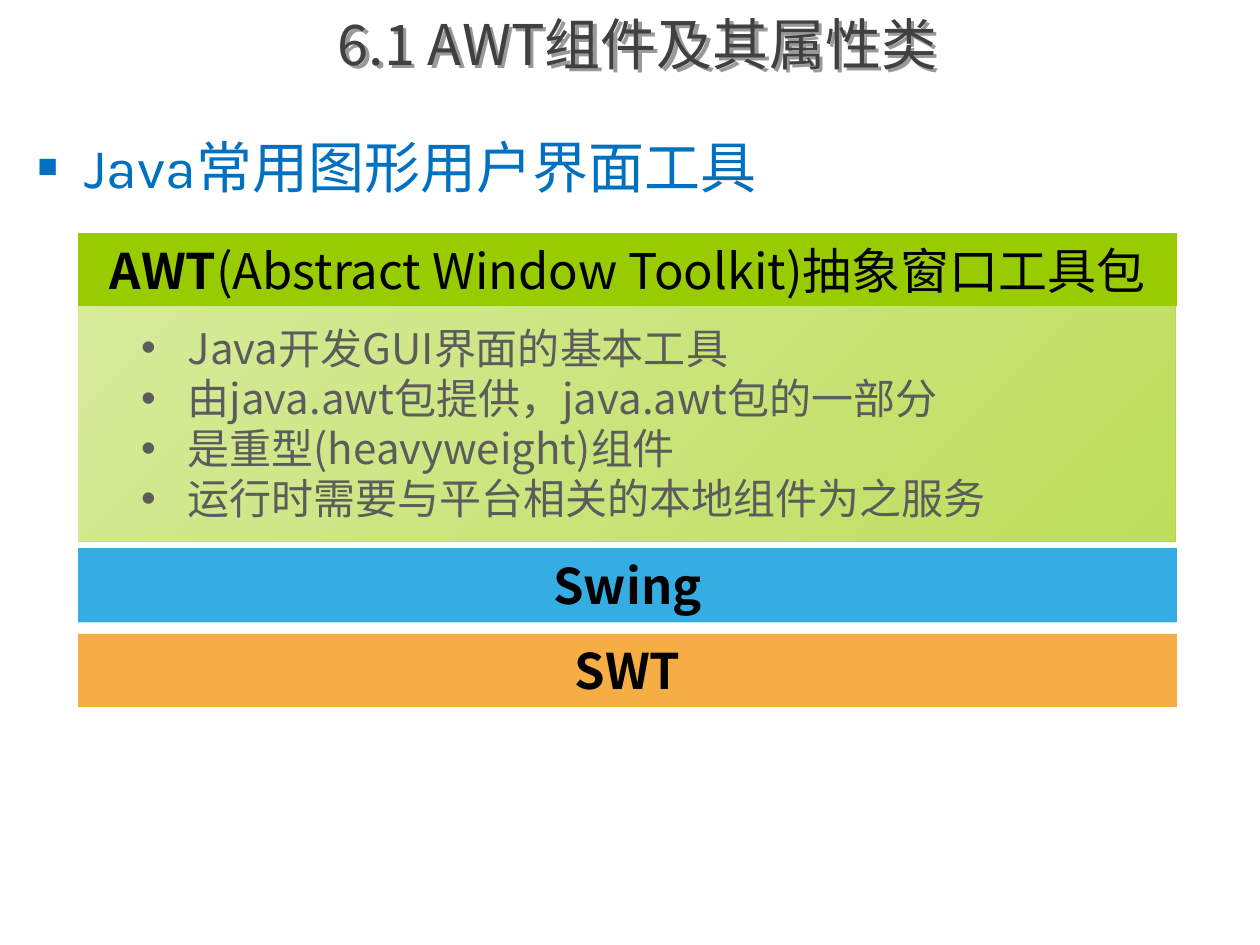
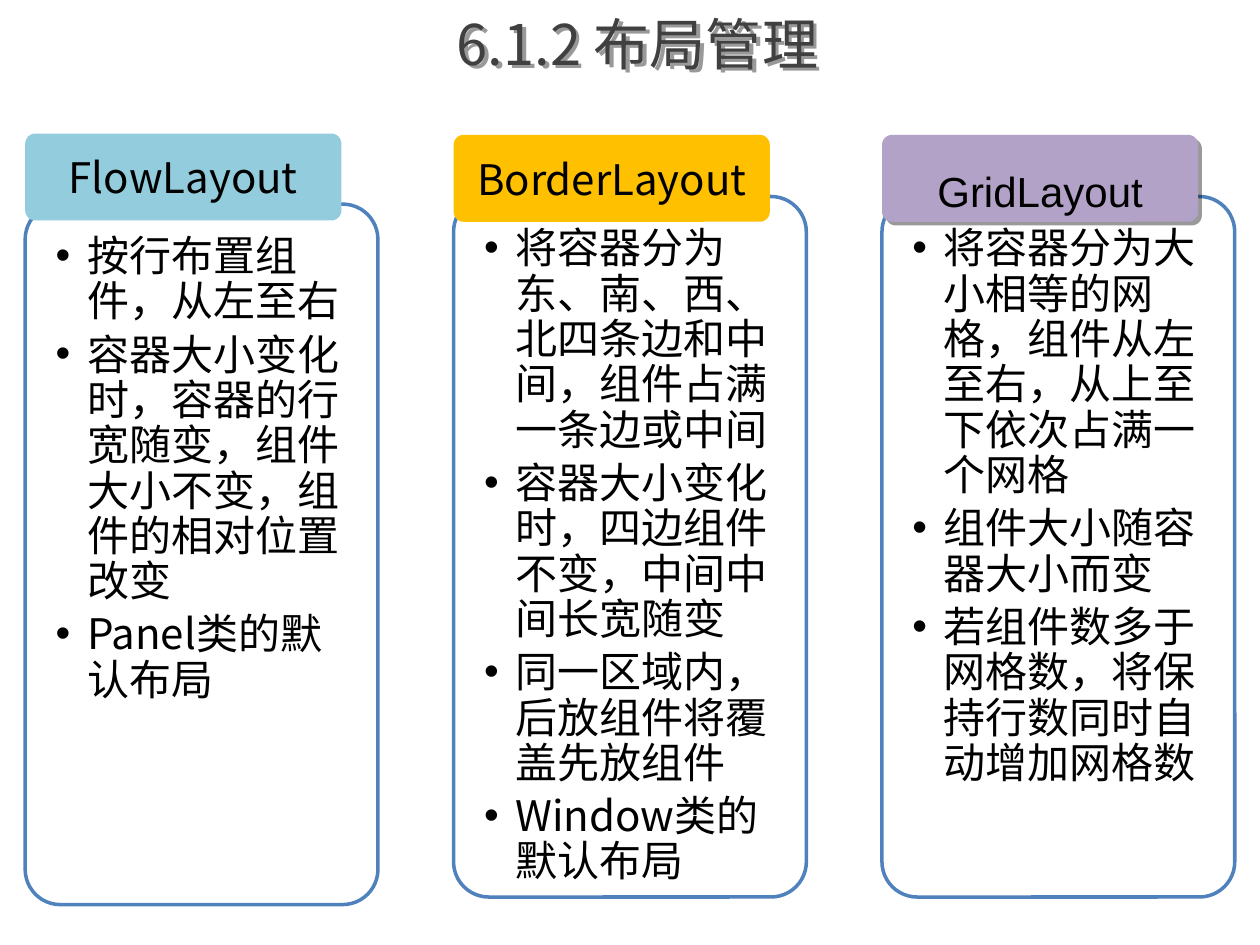
"""Build two slides on Java interface toolkits and layout managers."""
from dataclasses import dataclass
from typing import Optional

from lxml.etree import SubElement
from pptx import Presentation
from pptx.dml.color import RGBColor
from pptx.enum.shapes import MSO_SHAPE
from pptx.enum.text import MSO_ANCHOR, PP_ALIGN
from pptx.oxml.ns import qn
from pptx.util import Inches, Pt

COLORS = {
    "white": "FFFFFF", "black": "000000", "title": "404040", "heading": "0070C0",
    "green": "99CC00", "pale_green": "C1E063", "blue": "35ADE3", "orange": "F6AE44",
    "frame": "4F81BD", "aqua": "93CDDD", "gold": "FFC000", "violet": "B3A2C7",
}
SANS = "Noto Sans CJK SC"


@dataclass(frozen=True)
class Span:
    text: str
    size: float = 24
    color: str = "black"
    font: str = SANS
    bold: bool = False


@dataclass(frozen=True)
class Bullet:
    margin: float
    hanging: float
    symbol: str = "•"
    color: str = "black"
    percent: int = 100


@dataclass(frozen=True)
class Band:
    top: float
    height: float
    color: str
    spans: tuple[Span, ...]


@dataclass(frozen=True)
class LayoutCard:
    header: Span
    color: str
    header_top: float
    panel_top: float
    points: tuple[str, ...]
    line_spacing: float = 1.0
    shadow: bool = False


BANDS = (
    Band(1.85, 0.58, "green", (
        Span("AWT", 28, bold=True),
        Span("(Abstract Window Toolkit)抽象窗口工具包", 28),
    )),
    Band(4.35, 0.59, "blue", (Span("Swing", 28, bold=True),)),
    Band(5.03, 0.58, "orange", (Span("SWT", 28, bold=True),)),
)
AWT_POINTS = (
    "Java开发GUI界面的基本工具",
    "由java.awt包提供，java.awt包的一部分",
    "是重型(heavyweight)组件",
    "运行时需要与平台相关的本地组件为之服务",
)
CARDS = (
    LayoutCard(Span("FlowLayout"), "aqua", 1.06, 1.62, (
        "按行布置组件，从左至右",
        "容器大小变化时，容器的行宽随变，组件大小不变，组件的相对位置改变",
        "Panel类的默认布局",
    )),
    LayoutCard(Span("BorderLayout"), "gold", 1.07, 1.56, (
        "将容器分为东、南、西、北四条边和中间，组件占满一条边或中间",
        "容器大小变化时，四边组件不变，中间中间长宽随变",
        "同一区域内，后放组件将覆盖先放组件",
        "Window类的默认布局",
    )),
    LayoutCard(Span("GridLayout", font="Arial"), "violet", 1.07, 1.56, (
        "将容器分为大小相等的网格，组件从左至右，从上至下依次占满一个网格",
        "组件大小随容器大小而变",
        "若组件数多于网格数，将保持行数同时自动增加网格数",
    ), 1.5, True),
)


def rgb(name: str) -> RGBColor:
    return RGBColor.from_string(COLORS[name])


def add_box(page, left: float, top: float, width: float, height: float,
            color: Optional[str] = None, opacity: int = 100,
            line: Optional[str] = None, radius: float = 0):
    kind = MSO_SHAPE.ROUNDED_RECTANGLE if radius else MSO_SHAPE.RECTANGLE
    box = page.shapes.add_shape(
        kind, Inches(left), Inches(top), Inches(width), Inches(height))
    box.shadow.inherit = False
    if radius:
        box.adjustments[0] = radius / min(width, height)
    if color:
        box.fill.solid()
        box.fill.fore_color.rgb = rgb(color)
        if opacity < 100:
            tint = box.fill._xPr.find(".//" + qn("a:srgbClr"))
            SubElement(tint, qn("a:alpha"), val=str(opacity * 1000))
    else:
        box.fill.background()
    if line:
        box.line.color.rgb = rgb(line)
        box.line.width = Pt(2)
    else:
        box.line.fill.background()
    return box


def add_shadow(box) -> None:
    effects = box._element.spPr.find(qn("a:effectLst"))
    shadow = SubElement(effects, qn("a:outerShdw"), dist=str(Pt(3)),
                        dir="2700000", algn="tl", rotWithShape="0")
    tint = SubElement(shadow, qn("a:srgbClr"), val=COLORS["black"])
    SubElement(tint, qn("a:alpha"), val="40000")


def set_bullet(para, bullet: Bullet) -> None:
    properties = para._p.get_or_add_pPr()
    properties.set("marL", str(Inches(bullet.margin)))
    properties.set("indent", str(-Inches(bullet.hanging)))
    properties.set("hangingPunct", "0")
    tint = SubElement(properties, qn("a:buClr"))
    SubElement(tint, qn("a:srgbClr"), val=COLORS[bullet.color])
    SubElement(properties, qn("a:buSzPct"), val=str(bullet.percent * 1000))
    SubElement(properties, qn("a:buFont"), typeface="Arial")
    SubElement(properties, qn("a:buChar"), char=bullet.symbol)


def write(box, paragraphs: list[tuple[Span, ...]], bullet: Optional[Bullet] = None,
          anchor=MSO_ANCHOR.MIDDLE, insets: tuple[float, float] = (0.1, 0.05),
          spacing=None, after: float = 0) -> None:
    frame = box.text_frame
    frame.word_wrap = True
    frame.vertical_anchor = anchor
    frame.margin_left = frame.margin_right = Inches(insets[0])
    frame.margin_top = frame.margin_bottom = Inches(insets[1])
    for index, spans in enumerate(paragraphs):
        para = frame.add_paragraph() if index else frame.paragraphs[0]
        para.alignment = PP_ALIGN.LEFT if bullet else PP_ALIGN.CENTER
        if spacing:
            para.line_spacing = spacing
        para.space_after = Pt(after)
        if bullet:
            set_bullet(para, bullet)
        for span in spans:
            run = para.add_run()
            run.text = span.text
            run.font.size = Pt(span.size)
            run.font.bold = span.bold
            run.font.color.rgb = rgb(span.color)
            run.font.name = span.font
            SubElement(run._r.get_or_add_rPr(), qn("a:ea"), typeface=SANS)


def add_title(page, text: str) -> None:
    box = add_box(page, 0.72, 0, 8.68, 0.68)
    add_shadow(box)
    write(box, [(Span(text, 32, "title"),)])


def build_toolkits(deck) -> None:
    page = deck.slides.add_slide(deck.slide_layouts[6])
    heading = add_box(page, 0.2, 1, 9.61, 6.37, "white", 81)
    write(heading, [(Span("Java常用图形用户界面工具", 32, "heading", "Karla"),)],
          Bullet(0.37, 0.37, "■", "heading", 60), MSO_ANCHOR.TOP)
    details = add_box(page, 0.62, 2.41, 8.71, 1.89)
    details.fill.gradient()
    details.fill.gradient_angle = 315
    for stop, color in zip(details.fill.gradient_stops, ("pale_green", "green")):
        stop.color.rgb = rgb(color)
    write(details, [(Span(point),) for point in AWT_POINTS], Bullet(0.87, 0.37),
          insets=(0, 0.05), spacing=Pt(28.6))
    add_title(page, "6.1 AWT组件及其属性类")
    for band in BANDS:
        box = add_box(page, 0.62, band.top, 8.72, band.height, band.color)
        write(box, [band.spans])
    add_box(page, 0.62, 2.43, 8.71, 1.87, "white", 36)


def build_layouts(deck) -> None:
    page = deck.slides.add_slide(deck.slide_layouts[6])
    add_title(page, "6.1.2 布局管理")
    for index, card in enumerate(CARDS):
        left = 0.2 + 3.4 * index
        panel = add_box(page, left, card.panel_top, 2.8, 5.56,
                        "white", 90, "frame", 0.28)
        write(panel, [(Span(point),) for point in card.points], Bullet(0.25, 0.25),
              MSO_ANCHOR.TOP, (0.16, 0.16), Pt(25.9), 4.5)
        header = add_box(page, left, card.header_top, 2.51, 0.69,
                         card.color, radius=0.08)
        if card.shadow:
            add_shadow(header)
        write(header, [(card.header,)], insets=(0.05, 0.05),
              spacing=card.line_spacing)


def main() -> None:
    deck = Presentation()
    deck.slide_width = Inches(10)
    deck.slide_height = Inches(7.5)
    build_toolkits(deck)
    build_layouts(deck)
    deck.save("out.pptx")


if __name__ == "__main__":
    main()
